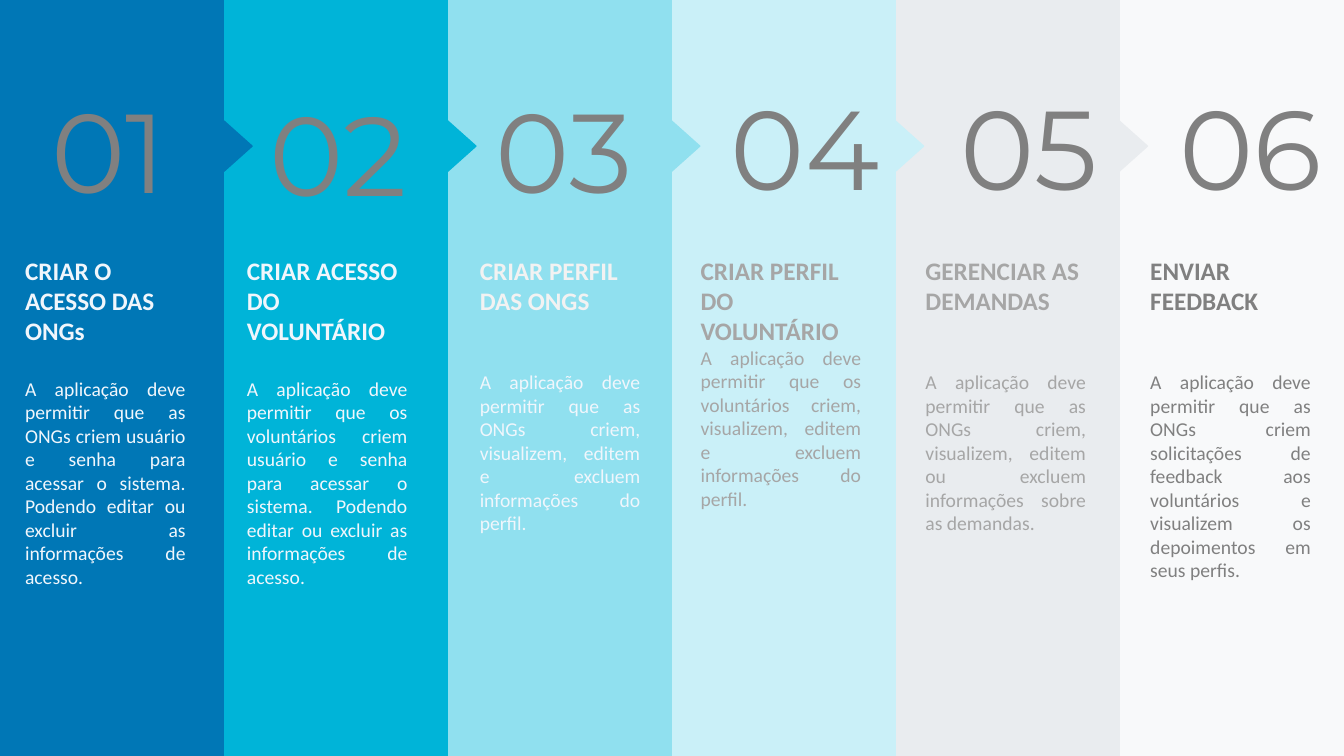
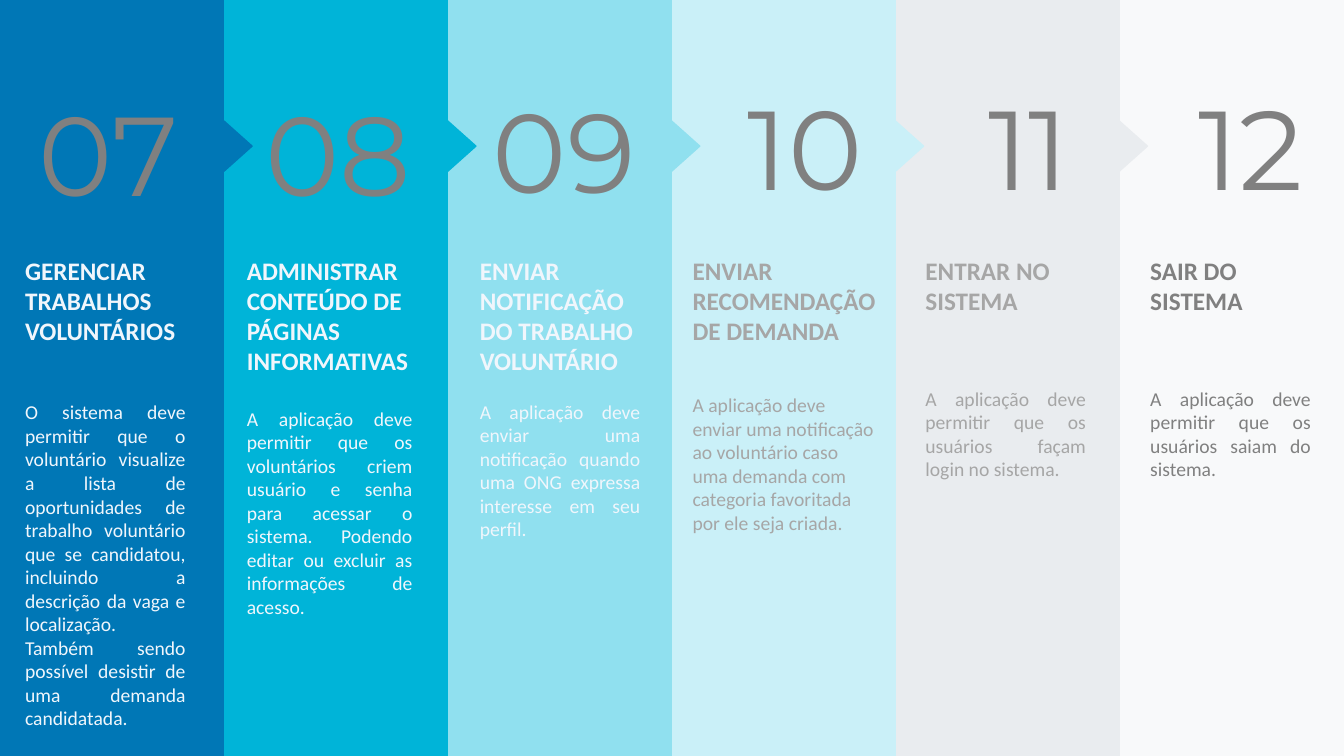
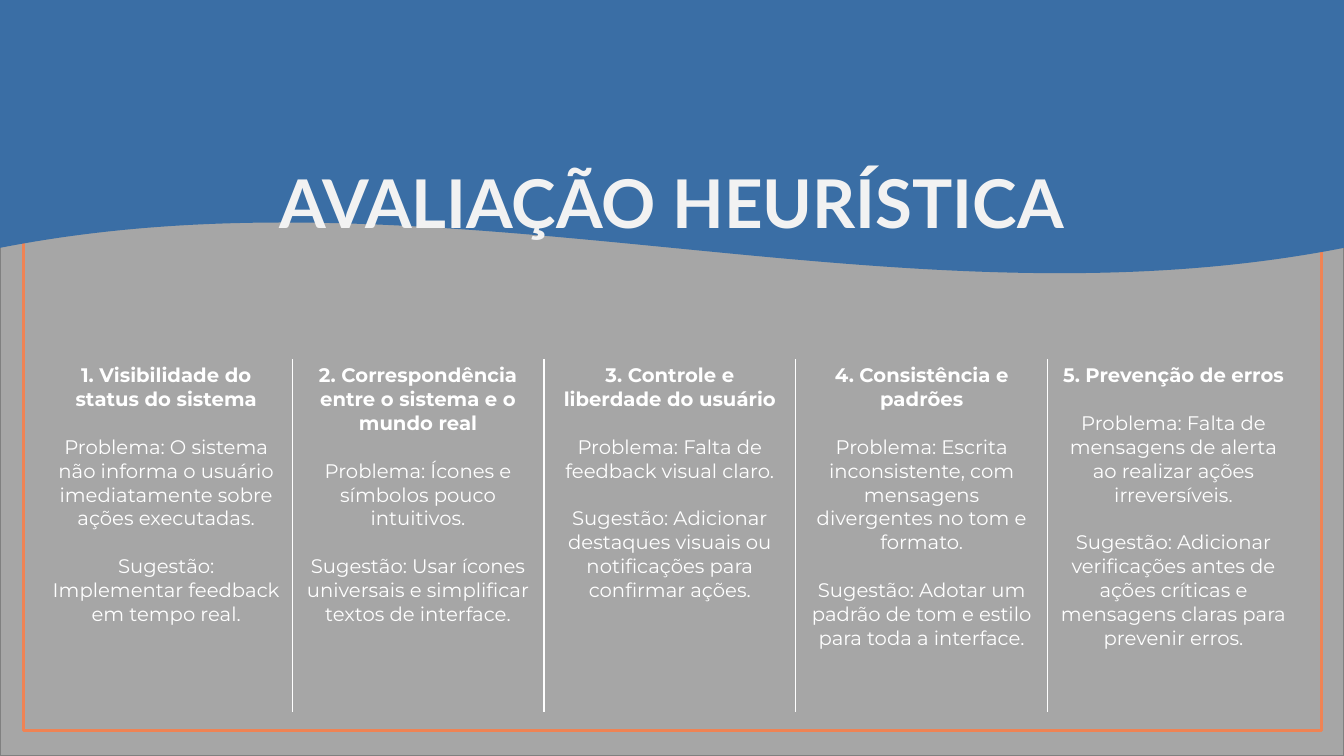
from dataclasses import dataclass

from lxml import etree
from pptx import Presentation
from pptx.dml.color import RGBColor
from pptx.enum.shapes import MSO_SHAPE
from pptx.enum.text import MSO_ANCHOR, MSO_AUTO_SIZE, PP_ALIGN
from pptx.oxml.ns import qn
from pptx.util import Inches, Pt

RECTANGLE, TRIANGLE, WAVE = MSO_SHAPE.RECTANGLE, MSO_SHAPE.ISOSCELES_TRIANGLE, MSO_SHAPE.WAVE
LEFT, CENTER, JUSTIFY = PP_ALIGN.LEFT, PP_ALIGN.CENTER, PP_ALIGN.JUSTIFY
TOP = MSO_ANCHOR.TOP
GROW = MSO_AUTO_SIZE.SHAPE_TO_FIT_TEXT


@dataclass(frozen=True)
class Theme:
    blue: str = "3A6EA5"
    backdrop: str = "BFDBF7"
    bands: tuple = ("0077B6", "00B4D8", "90E0EF", "CAF0F8", "E9ECEF", "F8F9FA")
    band_text: tuple = ("F0F6FC", "F0F6FC", "F0F6FC", "A6A6A6", "A6A6A6", "808080")
    gray: str = "808080"
    panel: str = "A6A6A6"
    orange: str = "EF8354"
    white: str = "FFFFFF"
    title_text: str = "F2F2F2"
    number_size: int = 80
    title_size: int = 48
    heading_size: int = 18
    body_size: int = 14
    band_font: str = "Calibri"
    title_font: str = "Lato"
    display_font: str = "Montserrat"


theme = Theme()


def draw(slide, preset, box, fill, line, weight=1, rotation=0):
    shape = slide.shapes.add_shape(preset, *(Inches(v) for v in box))
    shape.shadow.inherit = False
    shape.rotation = rotation
    if fill:
        shape.fill.solid()
        shape.fill.fore_color.rgb = RGBColor.from_string(fill)
    else:
        shape.fill.background()
    if line:
        shape.line.color.rgb = RGBColor.from_string(line)
        shape.line.width = Pt(weight)
    else:
        shape.line.fill.background()
    return shape


def write(frame, paragraphs):
    for index, (text, color, font, layout) in enumerate(paragraphs):
        paragraph = frame.add_paragraph() if index else frame.paragraphs[0]
        paragraph.text = text
        for name, value in layout.items():
            setattr(paragraph, name, value)
        for name, value in font.items():
            setattr(paragraph.font, name, value)
        paragraph.font.color.rgb = RGBColor.from_string(color)


number_font = {"name": theme.display_font, "size": Pt(theme.number_size)}
heading_font = {"name": theme.band_font, "size": Pt(theme.heading_size), "bold": True}
body_font = {"name": theme.band_font, "size": Pt(theme.body_size), "bold": False}
title_font = {"name": theme.title_font, "size": Pt(theme.title_size), "bold": True}
cell_font = {"name": theme.display_font, "size": Pt(theme.body_size), "bold": False}
frame_format = {"word_wrap": True, "auto_size": GROW, "vertical_anchor": TOP}

BAND = 2.22
TEXT_WIDTH = 1.79
number_offsets = (0.18, 0.24, 0.26, 0.43, 0.43, 0.41)
number_tops = (0.76, 0.79, 0.76, 0.73, 0.73, 0.73)
requirement_offsets = (0.15, 0.13, 0.22, 0.19, 0.2, 0.21)

requirement_slides = [
    [
        ("CRIAR O ACESSO DAS ONGs",
         "A aplicação deve permitir que as ONGs criem usuário e senha para acessar o sistema. "
         "Podendo editar ou excluir as informações de acesso.", 22, 3.43, {}),
        ("CRIAR ACESSO DO VOLUNTÁRIO",
         "A aplicação deve permitir que os voluntários criem usuário e senha para acessar o sistema. "
         "Podendo editar ou excluir as informações de acesso.", 22, 3.43, {}),
        ("CRIAR PERFIL DAS ONGS",
         "A aplicação deve permitir que as ONGs criem, visualizem, editem e excluem "
         "informações do perfil.", 39, 2.89, {"heading_color": theme.title_text}),
        ("CRIAR PERFIL DO VOLUNTÁRIO",
         "A aplicação deve permitir que os voluntários criem, visualizem, editem e excluem "
         "informações do perfil.", 0, 2.96, {}),
        ("GERENCIAR AS DEMANDAS",
         "A aplicação deve permitir que as ONGs criem, visualizem, editem ou excluem "
         "informações sobre as demandas.", 39, 2.89, {}),
        ("ENVIAR FEEDBACK",
         "A aplicação deve permitir que as ONGs criem solicitações de feedback aos voluntários "
         "e visualizem os depoimentos em seus perfis.", 39, 3.37, {}),
    ],
    [
        ("GERENCIAR TRABALHOS VOLUNTÁRIOS",
         "O sistema deve permitir que o voluntário visualize a lista de oportunidades de trabalho "
         "voluntário que se candidatou, incluindo a descrição da vaga e localização. "
         "Também sendo possível desistir de uma demanda candidatada.",
         39, 4.85, {"number_top": 0.79}),
        ("ADMINISTRAR CONTEÚDO DE PÁGINAS INFORMATIVAS",
         "A aplicação deve permitir que os voluntários criem usuário e senha para acessar o sistema. "
         "Podendo editar ou excluir as informações de acesso.", 22, 3.74, {"width": 1.84}),
        ("ENVIAR NOTIFICAÇÃO DO TRABALHO VOLUNTÁRIO",
         "A aplicação deve enviar uma notificação quando uma ONG expressa interesse em seu perfil.",
         17, 2.96, {}),
        ("ENVIAR RECOMENDAÇÃO DE DEMANDA",
         "A aplicação deve enviar uma notificação ao voluntário caso uma demanda com categoria "
         "favoritada por ele seja criada.",
         34, 2.89, {"width": 2.02, "offset": 0.11, "alignment": LEFT}),
        ("ENTRAR NO SISTEMA",
         "A aplicação deve permitir que os usuários façam login no sistema.", 51, 2.36, {}),
        ("SAIR DO SISTEMA",
         "A aplicação deve permitir que os usuários saiam do sistema.", 51, 2.36, {}),
    ],
]

heuristics = [
    ("1. Visibilidade do status do sistema",
     "Problema: O sistema não informa o usuário imediatamente sobre ações executadas.",
     "Sugestão: Implementar feedback em tempo real."),
    ("2. Correspondência entre o sistema e o mundo real",
     "Problema: Ícones e símbolos pouco intuitivos.",
     "Sugestão: Usar ícones universais e simplificar textos de interface."),
    ("3. Controle e liberdade do usuário",
     "Problema: Falta de feedback visual claro.",
     "Sugestão: Adicionar destaques visuais ou notificações para confirmar ações."),
    ("4. Consistência e padrões",
     "Problema: Escrita inconsistente, com mensagens divergentes no tom e formato.",
     "Sugestão: Adotar um padrão de tom e estilo para toda a interface."),
    ("5. Prevenção de erros",
     "Problema: Falta de mensagens de alerta ao realizar ações irreversíveis.",
     "Sugestão: Adicionar verificações antes de ações críticas e mensagens claras "
     "para prevenir erros."),
]

deck = Presentation()
deck.slide_width, deck.slide_height = Inches(13.33), Inches(7.5)
title_layout, blank_layout = deck.slide_layouts[5], deck.slide_layouts[6]
deck.slide_master.background.fill.solid()
deck.slide_master.background.fill.fore_color.rgb = RGBColor.from_string(theme.blue)

for page, requirements in enumerate(requirement_slides):
    slide = deck.slides.add_slide(blank_layout)
    draw(slide, RECTANGLE, (0, 0, 13.33, 7.5), theme.backdrop, theme.backdrop)
    last = len(requirements) - 1
    for column in range(last, -1, -1):
        heading, body, gap, height, special = requirements[column]
        left = column * BAND
        band_color, text_color = theme.bands[column], theme.band_text[column]
        draw(slide, RECTANGLE, (left, 0, BAND, 7.5), band_color, band_color)
        if column < last:
            draw(slide, TRIANGLE, (left + 2.11, 1.31, 0.5, 0.28), band_color, band_color, rotation=90)

        number = f"{page * len(requirements) + column + 1:02d}"
        number_box = (left + number_offsets[column],
                      special.get("number_top", number_tops[column]), TEXT_WIDTH, 1.45)
        requirement_box = (left + special.get("offset", requirement_offsets[column]), 2.48,
                           special.get("width", TEXT_WIDTH), height)
        number_text = [(number, theme.gray, number_font, {"alignment": CENTER})]
        requirement_text = [
            (heading, special.get("heading_color", text_color), heading_font, {"alignment": LEFT}),
            (body, text_color, body_font,
             {"alignment": special.get("alignment", JUSTIFY), "space_before": Pt(gap)}),
        ]
        for box, paragraphs in ((number_box, number_text), (requirement_box, requirement_text)):
            frame = slide.shapes.add_textbox(*(Inches(v) for v in box)).text_frame
            for name, value in frame_format.items():
                setattr(frame, name, value)
            write(frame, paragraphs)

slide = deck.slides.add_slide(title_layout)
draw(slide, RECTANGLE, (0, 1.49, 13.33, 6.01), theme.panel, theme.gray)
draw(slide, RECTANGLE, (0.23, 1.91, 12.88, 5.34), None, theme.orange, 2)
wave = draw(slide, WAVE, (0, 0.63, 13.33, 2.09), theme.blue, None)

title = slide.shapes.title
wave.element.addnext(title.element)
title_place = {"left": Inches(0), "top": Inches(1.15), "width": Inches(13.33), "height": Inches(1.3)}
for name, value in title_place.items():
    setattr(title, name, value)
title_frame_format = {"word_wrap": True, "auto_size": MSO_AUTO_SIZE.NONE, "vertical_anchor": TOP}
for name, value in title_frame_format.items():
    setattr(title.text_frame, name, value)
write(title.text_frame, [("AVALIAÇÃO HEURÍSTICA", theme.title_text, title_font,
                          {"alignment": CENTER, "line_spacing": 1.5})])

table = slide.shapes.add_table(1, len(heuristics), Inches(0.4), Inches(3.56),
                               Inches(12.49), Inches(3.5)).table
table.first_row = False
table.horz_banding = False
for column, (heuristic, problem, suggestion) in enumerate(heuristics):
    cell = table.cell(0, column)
    cell_layout = {"alignment": CENTER, "space_before": Pt(17)}
    write(cell.text_frame, [
        (heuristic, theme.white, {**cell_font, "bold": True}, {"alignment": CENTER}),
        (problem, theme.white, cell_font, cell_layout),
        (suggestion, theme.white, cell_font, cell_layout),
    ])
    properties = cell._tc.get_or_add_tcPr()
    sides = {"a:lnL": column > 0, "a:lnR": column < len(heuristics) - 1, "a:lnT": False, "a:lnB": False}
    for side, visible in sides.items():
        border = etree.SubElement(properties, qn(side), w=str(Pt(1)))
        if visible:
            paint = etree.SubElement(border, qn("a:solidFill"))
            etree.SubElement(paint, qn("a:srgbClr"), val=theme.white)
        else:
            etree.SubElement(border, qn("a:noFill"))
    cell.fill.background()

deck.save("out.pptx")
